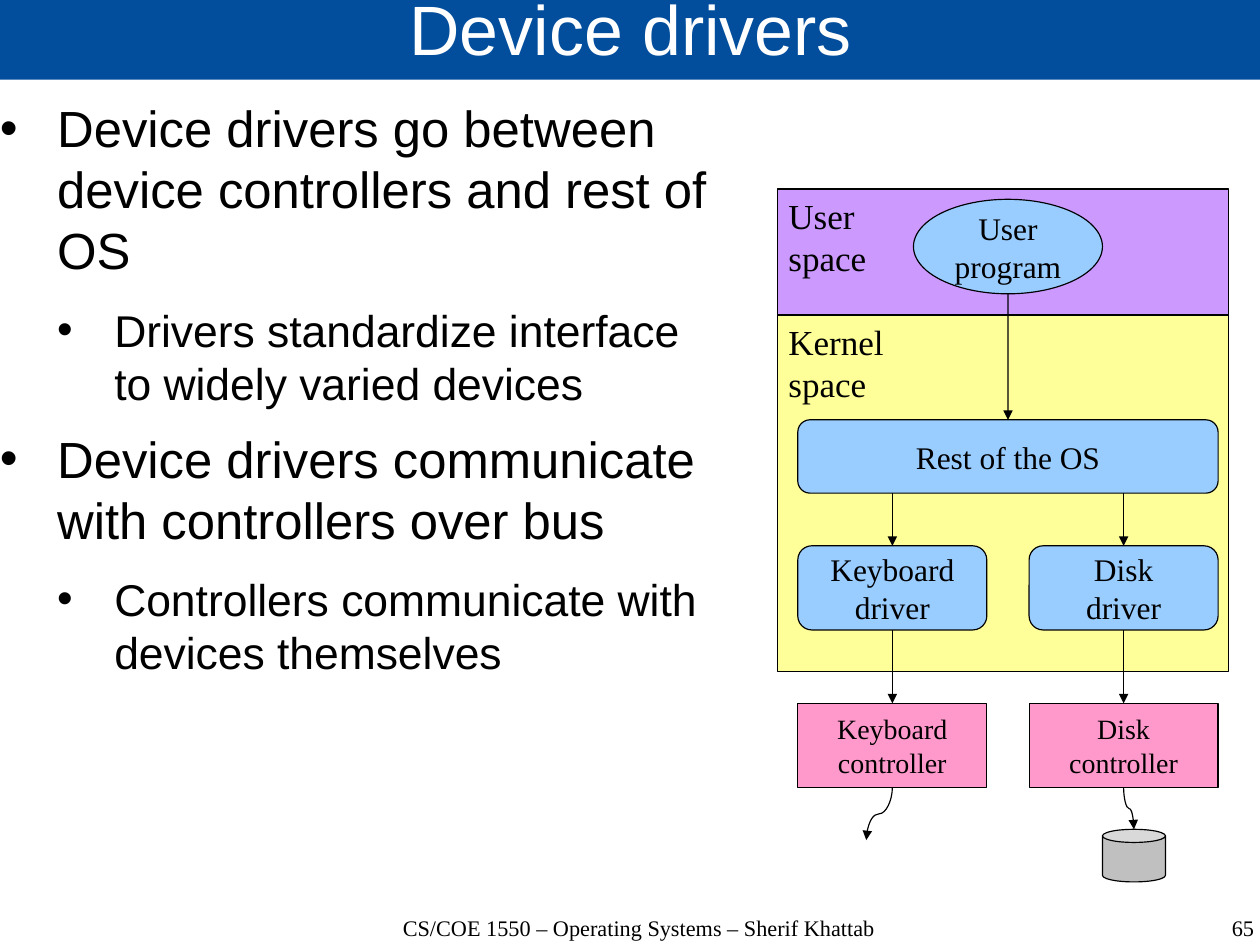
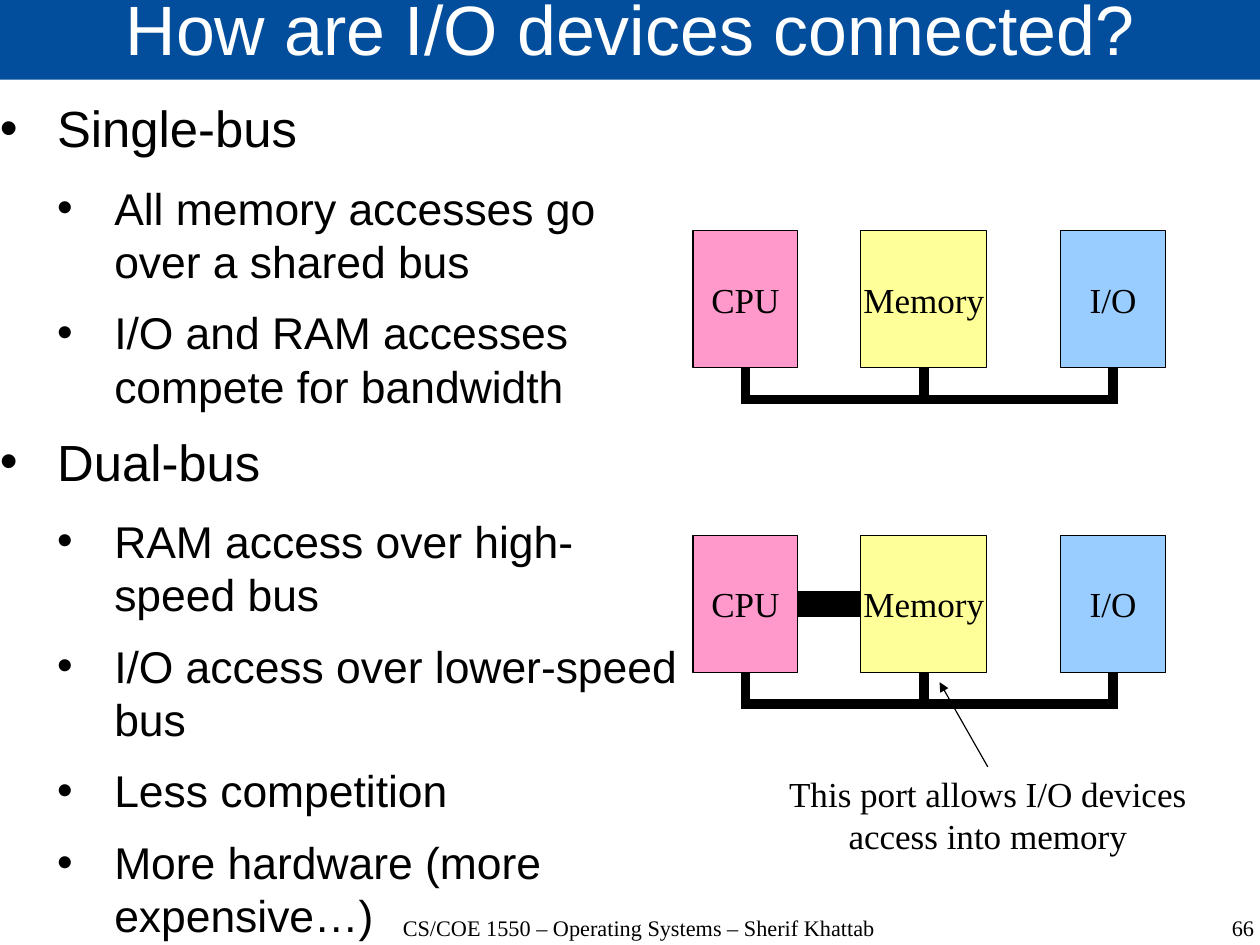
from dataclasses import dataclass

from lxml.etree import SubElement
from pptx import Presentation
from pptx.dml.color import RGBColor
from pptx.enum.shapes import MSO_CONNECTOR, MSO_SHAPE
from pptx.enum.text import MSO_ANCHOR, MSO_AUTO_SIZE, PP_ALIGN
from pptx.oxml.ns import qn
from pptx.util import Cm, Pt


@dataclass(frozen=True)
class Theme:
    sans: str = "Arial"
    serif: str = "Times New Roman"
    black: str = "000000"
    white: str = "FFFFFF"
    band: str = "024E9D"
    purple: str = "CC99FF"
    yellow: str = "FFFF99"
    blue: str = "99CCFF"
    pink: str = "FF99CC"
    grey: str = "C0C0C0"
    title: float = 44
    bullets: tuple = (32, 28)
    gaps: tuple = (14.2, 11.4)
    large: float = 22.1
    medium: float = 19.8
    small: float = 17.6
    footer: float = 14
    thin: float = 0.75
    bus: float = 6
    link: float = 16


T = Theme()
FOOTER = "CS/COE 1550 – Operating Systems – Sherif Khattab"


def rgb(color):
    return RGBColor.from_string(color)


def style(p, size, font=T.serif, color=T.black, align=PP_ALIGN.CENTER):
    p.alignment = align
    for r in p.runs:
        r.font.size = Pt(size)
        r.font.name = font
        r.font.color.rgb = rgb(color)


def no_insets(tf):
    tf.margin_left = tf.margin_right = tf.margin_top = tf.margin_bottom = 0
    tf.word_wrap = True
    tf.auto_size = MSO_AUTO_SIZE.NONE


def add_text(s, x, y, w, h):
    tf = s.shapes.add_textbox(Cm(x), Cm(y), Cm(w), Cm(h)).text_frame
    no_insets(tf)
    return tf


def add_node(s, kind, x, y, w, h, fill, text="", size=T.medium,
             align=PP_ALIGN.CENTER, anchor=MSO_ANCHOR.MIDDLE):
    sp = s.shapes.add_shape(kind, Cm(x), Cm(y), Cm(w), Cm(h))
    sp.shadow.inherit = False
    sp.fill.solid()
    sp.fill.fore_color.rgb = rgb(fill)
    sp.line.color.rgb = rgb(T.black)
    sp.line.width = Pt(T.thin)
    if text:
        tf = sp.text_frame
        tf.word_wrap = False
        tf.vertical_anchor = anchor
        p = tf.paragraphs[0]
        p.text = text
        style(p, size, align=align)
    return sp


def add_line(s, x1, y1, x2, y2, width=T.thin, arrow=False, kind=MSO_CONNECTOR.STRAIGHT):
    c = s.shapes.add_connector(kind, Cm(x1), Cm(y1), Cm(x2), Cm(y2))
    c.line.color.rgb = rgb(T.black)
    c.line.width = Pt(width)
    props = c.element.spPr
    ln = props.find(qn("a:ln"))
    SubElement(ln, qn("a:miter"), lim="800000")
    if arrow:
        SubElement(ln, qn("a:tailEnd"), type="triangle")
    SubElement(props, qn("a:effectLst"))
    return c


def add_down_curve(s, x1, y1, x2, y2):
    cx, cy = (x1 + x2) / 2, (y1 + y2) / 2
    dx, dy = (x2 - x1) / 2, (y2 - y1) / 2
    c = add_line(s, cx - dy, cy + dx, cx + dy, cy - dx,
                 arrow=True, kind=MSO_CONNECTOR.CURVE)
    c.element.spPr.find(qn("a:xfrm")).set("rot", "5400000")


def add_bus_elbow(s, x1, x2, y, drop):
    cx, half, thin = (x1 + x2) / 2, (x2 - x1) / 2, 0.01
    c = add_line(s, cx + thin / 2, y - half, cx - thin / 2, y + half,
                 T.bus, kind=MSO_CONNECTOR.ELBOW)
    props = c.element.spPr
    props.find(qn("a:xfrm")).set("rot", "16200000")
    guides = props.find(qn("a:prstGeom")).find(qn("a:avLst"))
    SubElement(guides, qn("a:gd"), name="adj1", fmla=f"val {round(drop / thin * 100000)}")


def add_title(s, text):
    sp = s.shapes.title
    sp.left, sp.top, sp.width, sp.height = Cm(0), Cm(-0.06), Cm(28.04), Cm(1.83)
    sp.fill.solid()
    sp.fill.fore_color.rgb = rgb(T.band)
    tf = sp.text_frame
    no_insets(tf)
    tf.vertical_anchor = MSO_ANCHOR.MIDDLE
    tf.text = text
    p = tf.paragraphs[0]
    p.line_spacing = 0.69
    style(p, T.title, T.sans, T.white)


def add_bullets(s, items, width):
    tf = add_text(s, 0, 2.16, width, 18.08)
    for i, (level, text) in enumerate(items):
        p = tf.add_paragraph() if i else tf.paragraphs[0]
        p.text = text
        p.level = level
        p.space_after = Pt(T.gaps[level])
        props = p._p.get_or_add_pPr()
        props.set("marL", str(Cm(1.27 * (level + 1))))
        props.set("indent", str(Cm(-1.27)))
        color = SubElement(props, qn("a:buClr"))
        SubElement(color, qn("a:srgbClr"), val=T.black)
        SubElement(props, qn("a:buFont"), typeface=T.sans)
        SubElement(props, qn("a:buChar"), char="•")
        style(p, T.bullets[level], T.sans, align=PP_ALIGN.LEFT)


def add_footer(s, number):
    for x, w, text, align in ((7.8, 12.8, FOOTER, PP_ALIGN.CENTER),
                              (21.44, 6.43, str(number), PP_ALIGN.RIGHT)):
        p = add_text(s, x, 20.35, w, 1.4).paragraphs[0]
        p.text = text
        p.line_spacing = 0.96
        style(p, T.footer, align=align)


def add_slide(prs, title, items, width, number):
    s = prs.slides.add_slide(prs.slide_layouts[5])
    add_title(s, title)
    add_bullets(s, items, width)
    add_footer(s, number)
    return s


def draw_driver_stack(s, left, top):
    rect, rounded = MSO_SHAPE.RECTANGLE, MSO_SHAPE.ROUNDED_RECTANGLE
    for y, h, fill, text in ((0, 2.8, T.purple, "User\vspace"),
                             (2.8, 7.93, T.yellow, "Kernel\vspace")):
        add_node(s, rect, left, top + y, 10.03, h, fill, text, T.large,
                 PP_ALIGN.LEFT, MSO_ANCHOR.TOP)

    inner, width, node_w, node_h = left + 0.46, 9.34, 4.2, 1.87
    center = inner + width / 2
    os_top, os_h = top + 5.13, 1.63
    add_node(s, MSO_SHAPE.OVAL, center - node_w / 2, top + 0.23, node_w, 2.1,
             T.blue, "User\vprogram")
    rest = add_node(s, rounded, inner, os_top, width, os_h, T.blue, "Rest of the OS")
    add_line(s, center, top + 2.33, center, os_top, arrow=True).end_connect(rest, 0)

    driver_top, ctrl_top = top + 7.93, top + 11.43
    ctrl_bottom = ctrl_top + node_h
    disk_top = top + 14.23
    for x, name, dx, end in ((inner, "Keyboard", -0.58, top + 14.47),
                             (inner + width - node_w, "Disk", 0.23, disk_top)):
        mid = x + node_w / 2
        driver = add_node(s, rounded, x, driver_top, node_w, node_h,
                          T.blue, name + "\vdriver")
        ctrl = add_node(s, rect, x, ctrl_top, node_w, node_h,
                        T.pink, name + "\vcontroller", T.small)
        add_line(s, mid, os_top + os_h, mid, driver_top, arrow=True).end_connect(driver, 0)
        c = add_line(s, mid, driver_top + node_h, mid, ctrl_top, arrow=True)
        c.begin_connect(driver, 2)
        c.end_connect(ctrl, 0)
        add_down_curve(s, mid, ctrl_bottom, mid + dx, end)
    add_node(s, MSO_SHAPE.CAN, mid + dx - 0.7, disk_top, 1.4, 1.17, T.grey)


def draw_bus(s, left, top, dual=False):
    h, drop = 3.04, 0.71
    parts = ((0, 2.33, T.pink, "CPU"),
             (3.73, 2.8, T.yellow, "Memory"),
             (8.17, 2.33, T.blue, "I/O"))
    mids = [left + x + w / 2 for x, w, _, _ in parts]
    for x1, x2 in zip(mids, mids[1:]):
        add_bus_elbow(s, x1, x2, top + h, drop)
    units = [add_node(s, MSO_SHAPE.RECTANGLE, left + x, top, w, h, fill, text, T.large)
             for x, w, fill, text in parts]
    if dual:
        c = add_line(s, left + 2.33, top + h / 2, left + 3.73, top + h / 2, T.link)
        c.begin_connect(units[0], 3)
        c.end_connect(units[1], 1)


def draw_port_note(s, left, top):
    width = 9.4
    tf = s.shapes.add_textbox(Cm(left), Cm(top), Cm(width), Cm(2.13)).text_frame
    tf.word_wrap = False
    p = tf.paragraphs[0]
    p.text = "This port allows I/O devices\vaccess into memory"
    style(p, T.large)
    mid = left + width / 2
    add_line(s, mid, top, mid - 1.07, top - 1.88, arrow=True)


def main():
    prs = Presentation()
    prs.slide_width, prs.slide_height = Cm(28), Cm(21)

    s = add_slide(prs, "Device drivers", (
        (0, "Device drivers go between device controllers and rest of OS"),
        (1, "Drivers standardize interface to widely varied devices"),
        (0, "Device drivers communicate with controllers over bus"),
        (1, "Controllers communicate with devices themselves"),
    ), 15.88, 65)
    draw_driver_stack(s, 17.27, 4.2)

    s = add_slide(prs, "How are I/O devices connected?", (
        (0, "Single-bus"),
        (1, "All memory accesses go over a shared bus"),
        (1, "I/O and RAM accesses compete for bandwidth"),
        (0, "Dual-bus"),
        (1, "RAM access over high-speed bus"),
        (1, "I/O access over lower-speed bus"),
        (1, "Less competition"),
        (1, "More hardware (more expensive…)"),
    ), 15.16, 66)
    draw_bus(s, 15.4, 5.13)
    draw_bus(s, 15.4, 11.9, dual=True)
    draw_port_note(s, 17.25, 17.04)

    prs.save("out.pptx")


if __name__ == "__main__":
    main()
